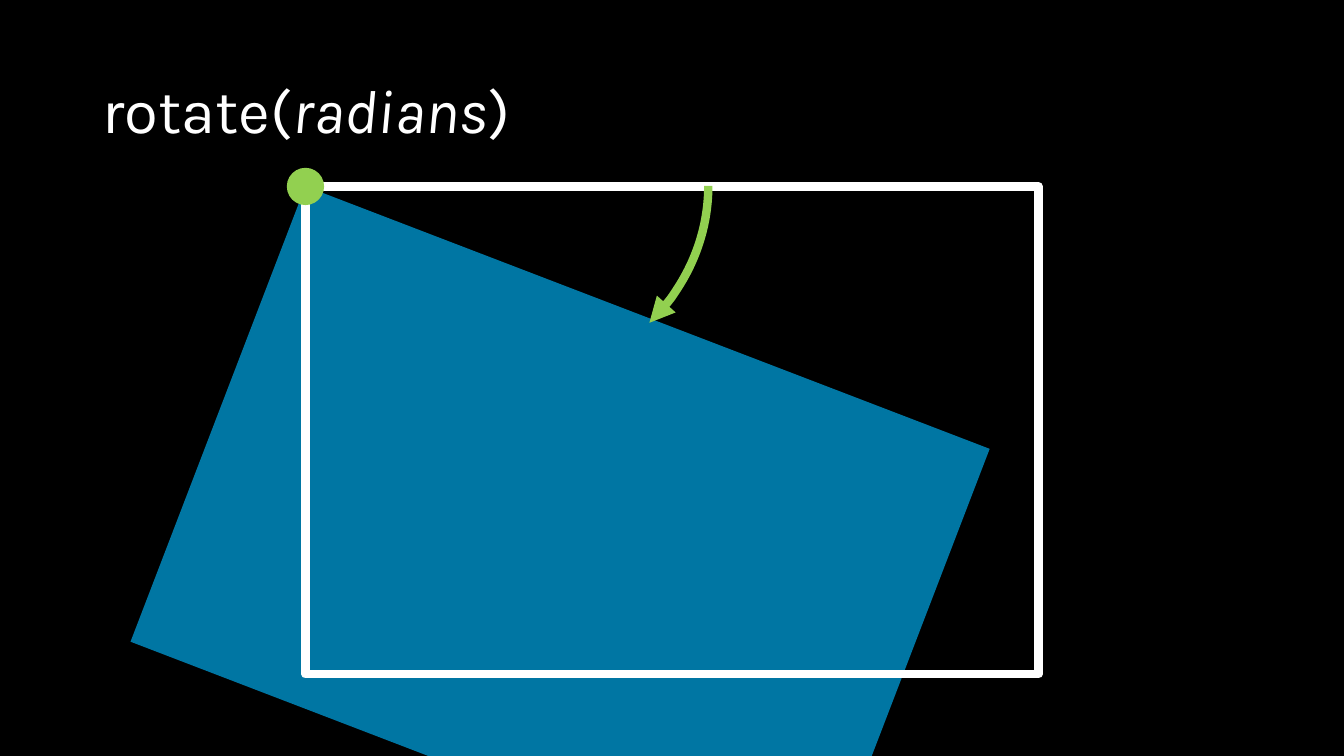
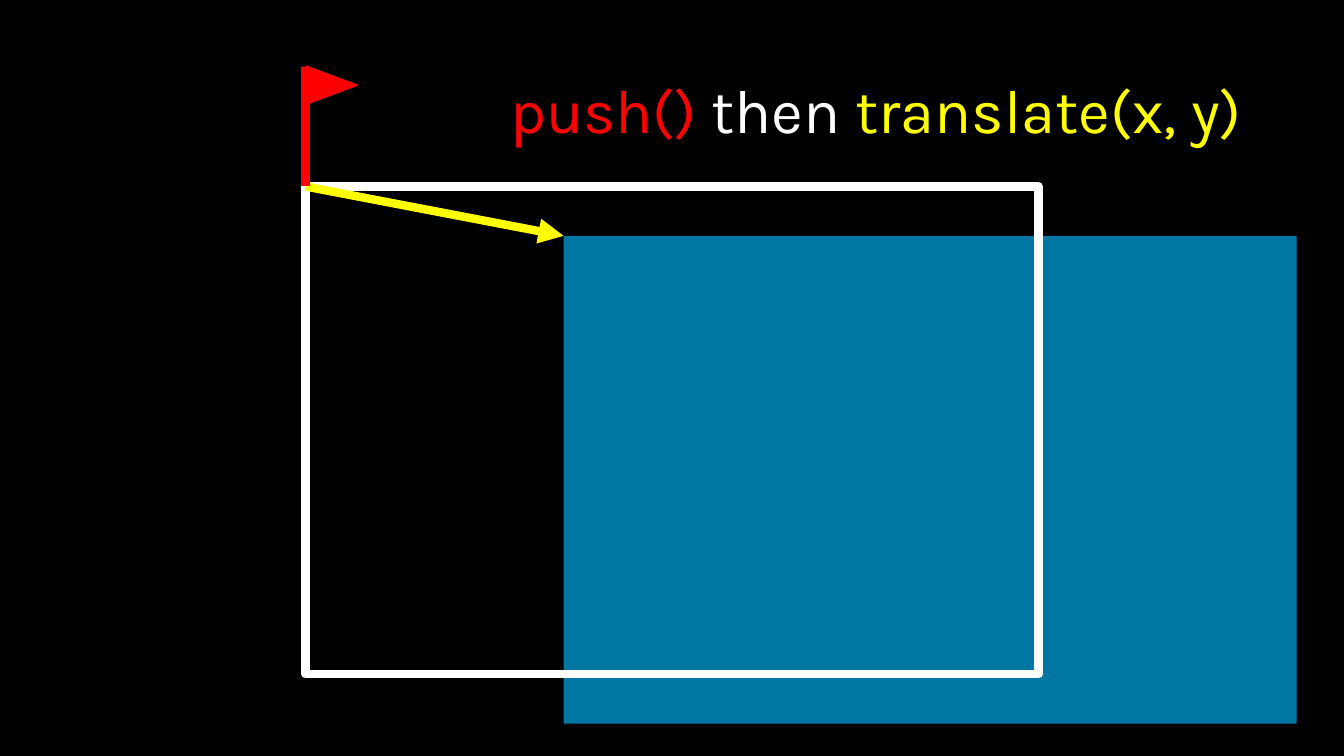
import math

import pptx
import pptx.dml.color
import pptx.enum.shapes
import pptx.enum.text
import pptx.oxml
import pptx.oxml.ns
import pptx.util
from pptx.util import Inches

SHAPE = pptx.enum.shapes.MSO_SHAPE
STRAIGHT = pptx.enum.shapes.MSO_CONNECTOR.STRAIGHT
ALIGN = pptx.enum.text.PP_ALIGN


class Theme:
    background = pptx.dml.color.RGBColor(0x00, 0x00, 0x00)
    white = pptx.dml.color.RGBColor(0xFF, 0xFF, 0xFF)
    blue = pptx.dml.color.RGBColor(0x00, 0x76, 0xA3)
    green = pptx.dml.color.RGBColor(0x92, 0xD0, 0x50)
    red = pptx.dml.color.RGBColor(0xFF, 0x00, 0x00)
    yellow = pptx.dml.color.RGBColor(0xFF, 0xFF, 0x00)
    font = "Karla"
    title_size = pptx.util.Pt(44)
    stroke = pptx.util.Pt(6)


def add_form(shapes, preset, left, top, width, height, fill=None, line=None):
    form = shapes.add_shape(preset, Inches(left), Inches(top), Inches(width), Inches(height))
    form.shadow.inherit = False
    if fill is None:
        form.fill.background()
    else:
        form.fill.solid()
        form.fill.fore_color.rgb = fill
    if line is None:
        form.line.fill.background()
    else:
        form.line.color.rgb = line
        form.line.width = Theme.stroke
    return form


def add_line(shapes, start, end, color):
    stroke = shapes.add_connector(STRAIGHT, *(Inches(v) for v in (*start, *end)))
    stroke.line.color.rgb = color
    stroke.line.width = Theme.stroke
    stroke._element.spPr.append(pptx.oxml.parse_xml(
        f"<a:effectLst {pptx.oxml.ns.nsdecls('a')}/>"))
    return stroke


presentation = pptx.Presentation()
presentation.slide_width, presentation.slide_height = Inches(13.33), Inches(7.5)
presentation.slide_master.background.fill.solid()
presentation.slide_master.background.fill.fore_color.rgb = Theme.background

# The canvas and its origin, shared by both slides
origin_x, origin_y = 3.03, 1.85
canvas_w, canvas_h = 7.27, 4.84
target_x, target_y = 5.59, 2.34

# Rotating about the origin moves the centre of the canvas
rotation = 21
cos, sin = math.cos(math.radians(rotation)), math.sin(math.radians(rotation))
rotated_x = round(origin_x + (canvas_w * cos - canvas_h * sin - canvas_w) / 2, 2)
rotated_y = round(origin_y + (canvas_w * sin + canvas_h * cos - canvas_h) / 2, 2)

# Title runs: text, colour, italic
topics = [
    (rotated_x, rotated_y, rotation, ALIGN.LEFT,
     [("rotate(", Theme.white, False), ("radians", Theme.white, True),
      (")", Theme.white, False)]),
    (target_x, target_y, 0, ALIGN.RIGHT,
     [("push() ", Theme.red, False), ("then ", Theme.white, False),
      ("translate(x, y)", Theme.yellow, False)]),
]

slides = []
for moved_x, moved_y, angle, alignment, words in topics:
    slide = presentation.slides.add_slide(presentation.slide_layouts[6])
    slides.append(slide)

    # Transformed canvas
    moved = add_form(slide.shapes, SHAPE.RECTANGLE, moved_x, moved_y,
                     canvas_w, canvas_h, fill=Theme.blue)
    moved.rotation = angle

    # Title
    title = slide.shapes.add_textbox(Inches(0.92), Inches(0.4), Inches(11.5), Inches(1.45))
    title.text_frame.word_wrap = True
    title.text_frame.vertical_anchor = pptx.enum.text.MSO_ANCHOR.MIDDLE
    heading = title.text_frame.paragraphs[0]
    heading.alignment = alignment
    heading.line_spacing = 0.9
    heading.font.name = Theme.font
    heading.font.size = Theme.title_size
    for text, color, italic in words:
        run = heading.add_run()
        run.text = text
        run.font.color.rgb = color
        if italic:
            run.font.italic = True

    # Original canvas outline
    add_form(slide.shapes, SHAPE.RECTANGLE, origin_x, origin_y,
             canvas_w, canvas_h, line=Theme.white)

rotate_slide, translate_slide = slides

# Rotation: curved arrow and pivot (arc angles count 0.6 per degree)
turn = add_form(rotate_slide.shapes, SHAPE.ARC, 2.79, -0.38, 4.02, 4.45, line=Theme.green)
turn.rotation = 90
turn.adjustments[0] = 270 * 0.6
turn.adjustments[1] = 309.6 * 0.6
pivot = 0.37
add_form(rotate_slide.shapes, SHAPE.OVAL, origin_x - pivot / 2, origin_y - pivot / 2,
         pivot, pivot, fill=Theme.green)

# Translation: arrow from the origin to the new corner
shift = add_line(translate_slide.shapes, (origin_x, origin_y), (target_x, target_y),
                 Theme.yellow)

# Flag marking the saved origin
flag = translate_slide.shapes.add_group_shape()
add_line(flag.shapes, (origin_x, 0.66), (origin_x, origin_y), Theme.red)
pennant = add_form(flag.shapes, SHAPE.ISOSCELES_TRIANGLE, 3.1, 0.59, 0.38, 0.51,
                   fill=Theme.red, line=Theme.red)
pennant.line.width = pptx.util.Pt(1)
pennant.rotation = 90

# Arrowheads
for arrow in (turn, shift):
    arrow.line._get_or_add_ln().append(pptx.oxml.parse_xml(
        f"<a:tailEnd {pptx.oxml.ns.nsdecls('a')} type=\"triangle\"/>"))

presentation.save("out.pptx")
